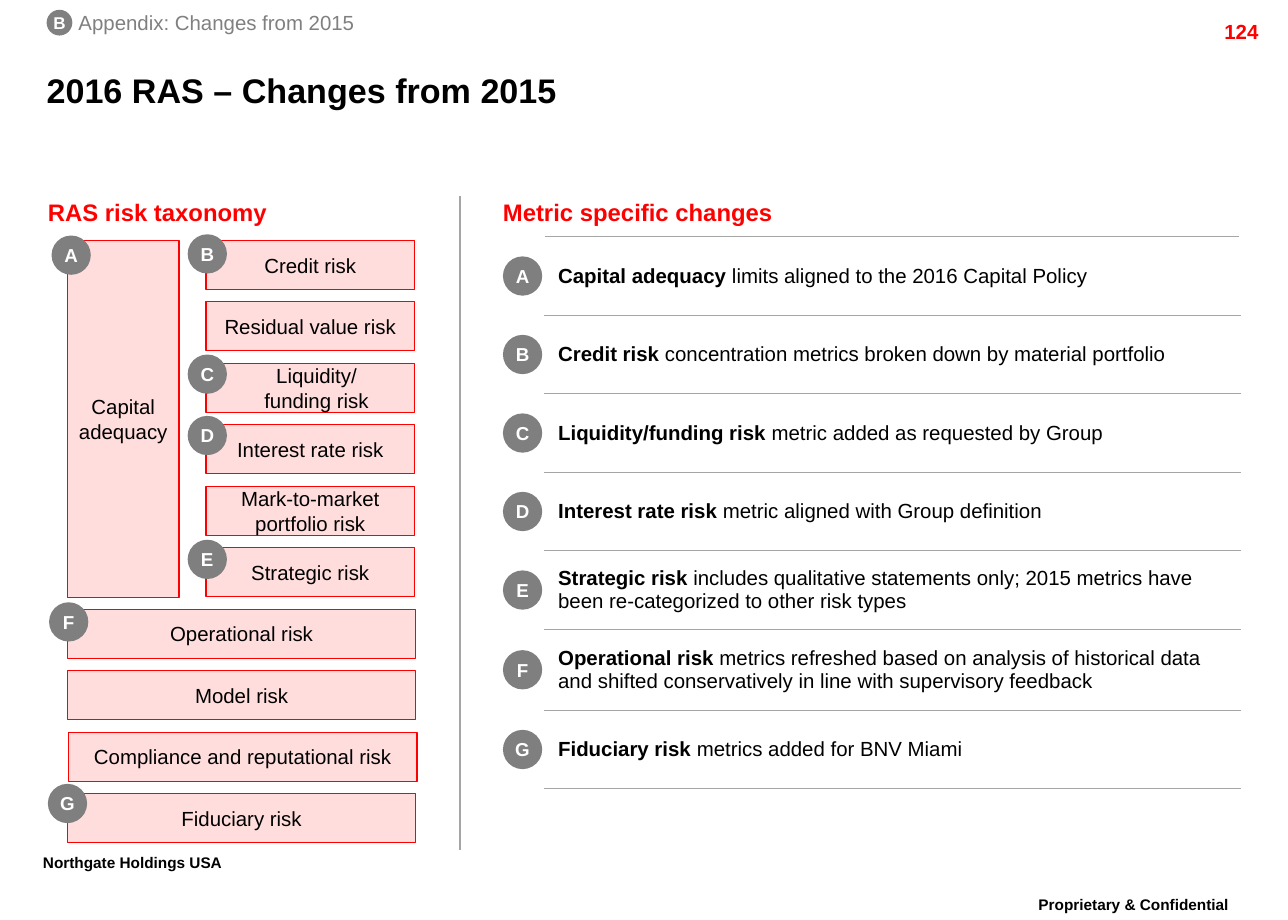
from dataclasses import dataclass
from lxml import etree
from pptx import Presentation
from pptx import util as u
from pptx.dml import color as col
from pptx.enum import shapes as sh, text as tx
from pptx.oxml import ns

Inches = u.Inches


@dataclass(frozen=True)
class Theme:
    font: str = "Arial"
    ink: str = "000000"
    red: str = "FF0000"
    pink: str = "FFDDDD"
    grey: str = "7F7F7F"
    pale: str = "808080"
    rule: str = "A5A5A5"
    white: str = "FFFFFF"
    title: int = 20
    head: int = 14
    body: int = 12
    mark: int = 11
    tag: int = 10
    foot: int = 9
    line: float = 0.75


T = Theme()
LEFT, CENTER, RIGHT = tx.PP_ALIGN.LEFT, tx.PP_ALIGN.CENTER, tx.PP_ALIGN.RIGHT
TOP, MIDDLE = tx.MSO_ANCHOR.TOP, tx.MSO_ANCHOR.MIDDLE

BOX_TOP, PITCH, BOX_H = 1.96, 4.51 / 9, 0.4
DOT = 0.32
SIDE = (0.04, 0.04)

RISKS = [
    ("Credit risk", 1.68, 1.7, SIDE),
    ("Residual value risk", 1.68, 1.7, SIDE),
    ("Liquidity/\nfunding risk", 1.68, 1.7, (0.2, 0.1)),
    ("Interest rate risk", 1.68, 1.7, SIDE),
    ("Mark-to-market portfolio risk", 1.68, 1.7, (0.1, 0.1)),
    ("Strategic risk", 1.68, 1.7, SIDE),
    ("Operational risk", 0.55, 2.84, SIDE),
    ("Model risk", 0.55, 2.84, SIDE),
    ("Compliance and reputational risk", 0.56, 2.84, SIDE),
    ("Fiduciary risk", 0.55, 2.84, SIDE),
]
MARKS = [
    ("A", 0.42, 1.92),
    ("B", 1.53, 1.91),
    ("C", 1.53, 2.89),
    ("D", 1.53, 3.39),
    ("E", 1.53, 4.4),
    ("F", 0.4, 4.91),
    ("G", 0.39, 6.39),
]
CHANGES = [
    ("Capital adequacy", "limits aligned to the 2016 Capital Policy", 0.64),
    ("Credit risk", "concentration metrics broken down by material portfolio", 0.64),
    ("Liquidity/funding risk", "metric added as requested by Group", 0.64),
    ("Interest rate risk", "metric aligned with Group definition", 0.64),
    ("Strategic risk", "includes qualitative statements only; 2015 metrics have "
     "been re-categorized to other risk types", 0.64),
    ("Operational risk", "metrics refreshed based on analysis of historical data "
     "and shifted conservatively in line with supervisory feedback", 0.66),
    ("Fiduciary risk", "metrics added for BNV Miami", 0.64),
]


def rgb(code):
    return col.RGBColor.from_string(code)


def write(frame, words, size=T.body, color=T.ink, bold=False, align=LEFT,
          anchor=TOP, side=(0, 0), edge=0, wrap=True):
    frame.word_wrap = wrap
    frame.auto_size = tx.MSO_AUTO_SIZE.NONE
    frame.vertical_anchor = anchor
    frame.margin_left, frame.margin_right = map(Inches, side)
    frame.margin_top = frame.margin_bottom = Inches(edge)
    fill_para(frame.paragraphs[0], [(words, bold)], size, color, align)


def fill_para(para, parts, size=T.body, color=T.ink, align=LEFT):
    para.alignment = align
    for words, bold in parts:
        for i, bit in enumerate(words.split("\n")):
            if i:
                para.add_line_break()
            run = para.add_run()
            run.text = bit
            font = run.font
            font.name, font.size, font.bold = T.font, u.Pt(size), bold
            font.color.rgb = rgb(color)


def label(slide, words, at, **form):
    box = slide.shapes.add_textbox(*map(Inches, at))
    write(box.text_frame, words, **form)


def shape(slide, kind, at, fill, line=None):
    item = slide.shapes.add_shape(kind, *map(Inches, at))
    item.shadow.inherit = False
    item.fill.solid()
    item.fill.fore_color.rgb = rgb(fill)
    if line:
        item.line.color.rgb = rgb(line)
        item.line.width = u.Pt(T.line)
    else:
        item.line.fill.background()
    return item


def block(slide, words, at, side=SIDE):
    item = shape(slide, sh.MSO_SHAPE.RECTANGLE, at, T.pink, T.red)
    write(item.text_frame, words, align=CENTER, anchor=MIDDLE, side=side, edge=0.04)


def badge(slide, mark, left, top, wide=DOT, fill=T.grey, size=T.mark):
    item = shape(slide, sh.MSO_SHAPE.OVAL, (left, top, wide, wide), fill)
    write(item.text_frame, mark, size=size, color=T.white, bold=True,
          align=CENTER, anchor=MIDDLE, wrap=False)


def border(cell):
    props = cell._tc.get_or_add_tcPr()
    for i, tag in enumerate(("a:lnT", "a:lnB")):
        line = etree.Element(ns.qn(tag), w=str(u.Pt(T.line)))
        fill = etree.SubElement(line, ns.qn("a:solidFill"))
        etree.SubElement(fill, ns.qn("a:srgbClr"), val=T.rule)
        props.insert(i, line)


def changes(slide, left, top, wide):
    high = sum(row[2] for row in CHANGES)
    grid = slide.shapes.add_table(
        len(CHANGES), 1, *map(Inches, (left, top, wide, high))).table
    grid.first_row = grid.horz_banding = False
    for i, (name, news, tall) in enumerate(CHANGES):
        grid.rows[i].height = Inches(tall)
        cell = grid.cell(i, 0)
        cell.fill.solid()
        cell.fill.fore_color.rgb = rgb(T.white)
        cell.vertical_anchor = MIDDLE
        cell.margin_left = cell.margin_right = Inches(0.11)
        cell.margin_top = cell.margin_bottom = Inches(0.05)
        para = cell.text_frame.paragraphs[0]
        fill_para(para, [(name + " ", True), (news, False)])
        border(cell)
        badge(slide, MARKS[i][0], 4.1, top + (tall - DOT) / 2)
        top += tall


def divide(slide, x, top, end):
    line = slide.shapes.add_connector(
        sh.MSO_CONNECTOR.STRAIGHT, *map(Inches, (x, top, x, end)))
    line.line.color.rgb = rgb(T.rule)
    line.line.width = u.Pt(T.line)
    etree.SubElement(line._element.spPr, ns.qn("a:effectLst"))


def title(slide, words, at):
    head = slide.shapes.title
    head.left, head.top, head.width, head.height = map(Inches, at)
    write(head.text_frame, words, size=T.title, bold=True, anchor=MIDDLE)


def taxonomy(slide):
    block(slide, "Capital adequacy", (0.55, BOX_TOP, 0.91, 2.91))
    for i, (name, left, wide, side) in enumerate(RISKS):
        block(slide, name, (left, BOX_TOP + i * PITCH, wide, BOX_H), side)
    for mark, left, top in MARKS:
        badge(slide, mark, left, top)


def main():
    deck = Presentation()
    deck.slide_width, deck.slide_height = Inches(10.5), Inches(7.5)
    slide = deck.slides.add_slide(deck.slide_layouts[5])
    title(slide, "2016 RAS – Changes from 2015", (0.38, 0.49, 9.48, 0.48))
    badge(slide, "B", 0.38, 0.08, wide=0.21, fill=T.pale, size=T.tag)
    label(slide, "Appendix: Changes from 2015", (0.64, 0.08, 2.26, 0.2),
          color=T.pale, wrap=False)
    label(slide, "124", (9.36, 0.11, 0.9, 0.3), color=T.red, bold=True,
          align=RIGHT, anchor=MIDDLE)
    for words, left in (("RAS risk taxonomy", 0.39), ("Metric specific changes", 4.1)):
        label(slide, words, (left, 1.61, 2.83, 0.22), size=T.head,
              color=T.red, bold=True)
    taxonomy(slide)
    divide(slide, 3.75, 1.6, 6.93)
    changes(slide, 4.44, 1.93, 5.67)
    label(slide, "Northgate Holdings USA", (0.35, 6.93, 1.91, 0.2),
          size=T.foot, bold=True, anchor=MIDDLE)
    label(slide, "Proprietary & Confidential", (8.15, 7.27, 2.18, 0.2),
          size=T.foot, bold=True, align=CENTER, anchor=MIDDLE)
    deck.save("out.pptx")


if __name__ == "__main__":
    main()
